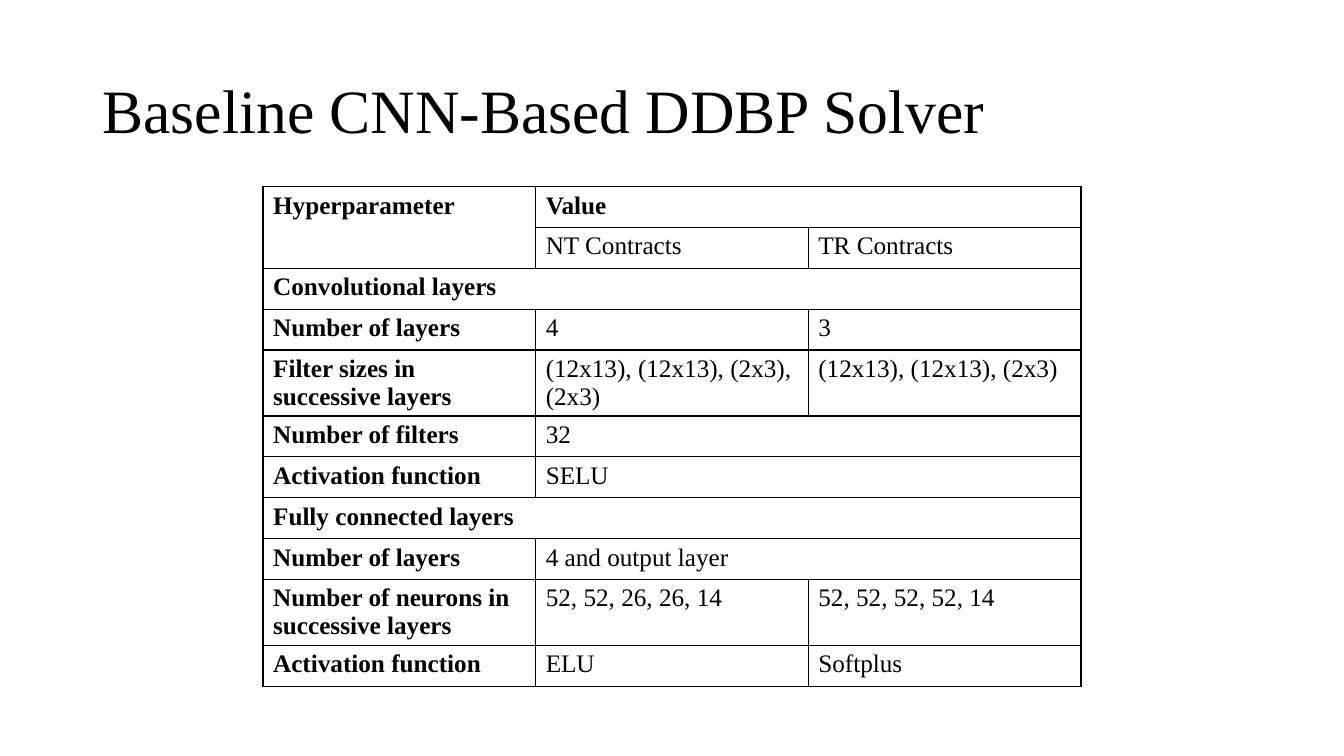
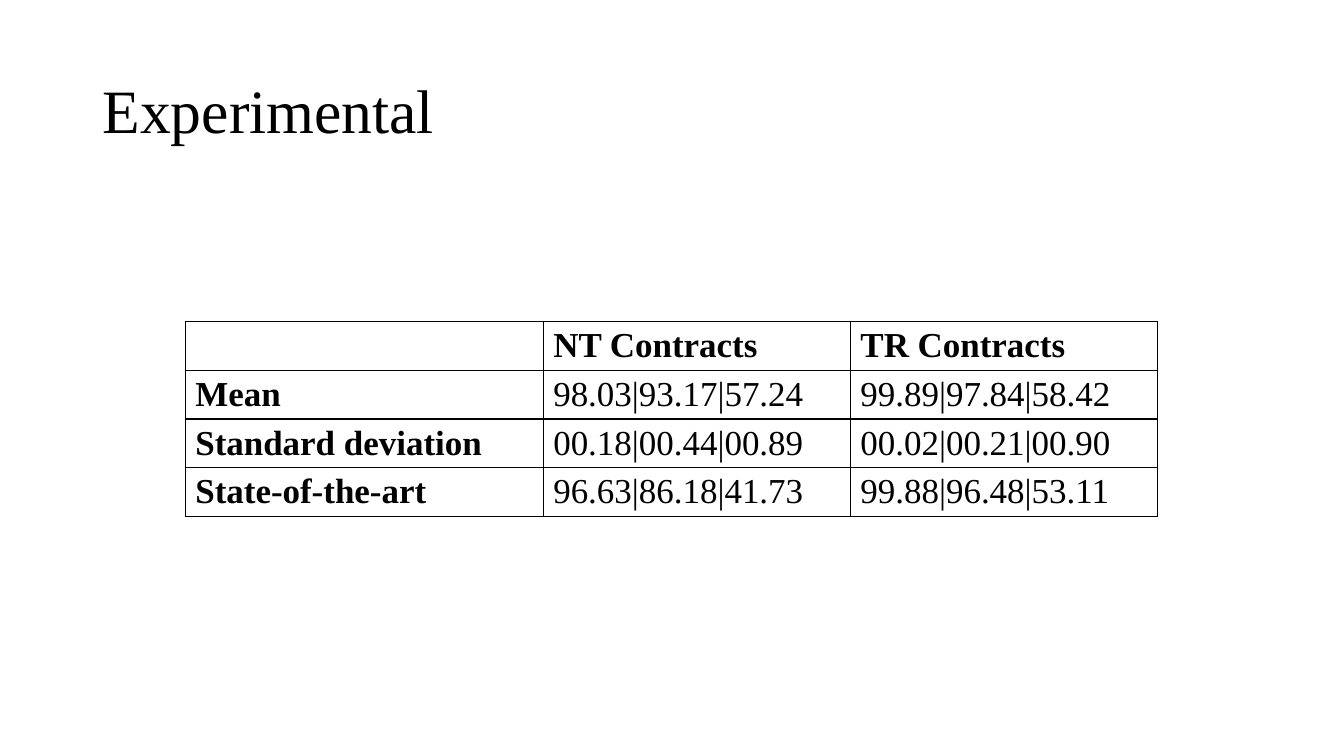
from dataclasses import dataclass

from lxml import etree
from pptx import Presentation
from pptx import util as u
from pptx.dml import color
from pptx.enum import text
from pptx.oxml import ns

LEFT, UP = "<", "^"

HYPERPARAMETERS = [
    ["Hyperparameter", "Value", LEFT],
    [UP, "NT Contracts", "TR Contracts"],
    ["Convolutional layers", LEFT, LEFT],
    ["Number of layers", "4", "3"],
    ["Filter sizes in successive layers", "(12x13), (12x13), (2x3), (2x3)", "(12x13), (12x13), (2x3)"],
    ["Number of filters", "32", LEFT],
    ["Activation function", "SELU", LEFT],
    ["Fully connected layers", LEFT, LEFT],
    ["Number of layers", "4 and output layer", LEFT],
    ["Number of neurons in successive layers", "52, 52, 26, 26, 14", "52, 52, 52, 52, 14"],
    ["Activation function", "ELU", "Softplus"],
]

RESULTS = [
    ["", "NT Contracts", "TR Contracts"],
    ["Mean", "98.03|93.17|57.24", "99.89|97.84|58.42"],
    ["Standard deviation", "00.18|00.44|00.89", "00.02|00.21|00.90"],
    ["State-of-the-art", "96.63|86.18|41.73", "99.88|96.48|53.11"],
]


@dataclass(frozen=True)
class Theme:
    font: str = "Times New Roman"
    ink: str = "000000"
    paper: str = "FFFFFF"
    title: int = 44
    table: int = 18
    big_table: int = 25
    border: float = 1
    row: float = 1.03


class Deck:
    """Holds the theme, the presentation and the current slide."""

    def __init__(self, theme):
        self.theme = theme
        self.prs = Presentation()
        self.prs.slide_width, self.prs.slide_height = u.Cm(33.87), u.Cm(19.05)
        self.s = None

    def style(self, p, size, bold=False):
        for r in p.runs:
            r.font.name, r.font.size, r.font.bold = self.theme.font, u.Pt(size), bold
            r.font.color.rgb = color.RGBColor.from_string(self.theme.ink)

    def slide(self, title):
        self.s = self.prs.slides.add_slide(self.prs.slide_layouts[5])
        sp = self.s.shapes.title
        sp.left, sp.top, sp.width, sp.height = u.Cm(2.33), u.Cm(1.01), u.Cm(29.21), u.Cm(3.68)
        tf = sp.text_frame
        tf.text = title
        tf.auto_size = text.MSO_AUTO_SIZE.NONE
        tf.vertical_anchor = text.MSO_ANCHOR.MIDDLE
        p = tf.paragraphs[0]
        p.alignment, p.line_spacing = text.PP_ALIGN.LEFT, 0.9
        self.style(p, self.theme.title)

    def box(self, cell):
        tc_pr = cell._tc.get_or_add_tcPr()
        for side in ("lnL", "lnR", "lnT", "lnB"):
            ln = etree.SubElement(tc_pr, ns.qn(f"a:{side}"), w=str(u.Pt(self.theme.border)))
            fill = etree.SubElement(ln, ns.qn("a:solidFill"))
            etree.SubElement(fill, ns.qn("a:srgbClr"), val=self.theme.ink)
        cell.fill.solid()
        cell.fill.fore_color.rgb = color.RGBColor.from_string(self.theme.paper)

    def table(self, rows, left, top, widths, size):
        height = self.theme.row
        tbl = self.s.shapes.add_table(
            len(rows), len(widths), u.Cm(left), u.Cm(top),
            u.Cm(sum(widths)), u.Cm(height * len(rows))).table
        for col, width in zip(tbl.columns, widths):
            col.width = u.Cm(width)
        for i, row in enumerate(rows):
            tbl.rows[i].height = u.Cm(height)
            for j, value in enumerate(row):
                cell = tbl.cell(i, j)
                self.box(cell)
                if value in (LEFT, UP):
                    continue
                cell.text_frame.text = value
                self.style(cell.text_frame.paragraphs[0], size, bold=i == 0 or j == 0)
                right, bottom = j, i
                while right + 1 < len(row) and row[right + 1] == LEFT:
                    right += 1
                while bottom + 1 < len(rows) and rows[bottom + 1][j] == UP:
                    bottom += 1
                if (bottom, right) != (i, j):
                    cell.merge(tbl.cell(bottom, right))


def main():
    theme = Theme()
    deck = Deck(theme)
    deck.slide("Baseline CNN-Based DDBP Solver")
    deck.table(HYPERPARAMETERS, 6.63, 4.7, [6.87] * 3, theme.table)
    deck.slide("Experimental")
    deck.table(RESULTS, 4.67, 8.1, [9.02, 7.74, 7.74], theme.big_table)
    deck.prs.save("out.pptx")


if __name__ == "__main__":
    main()
